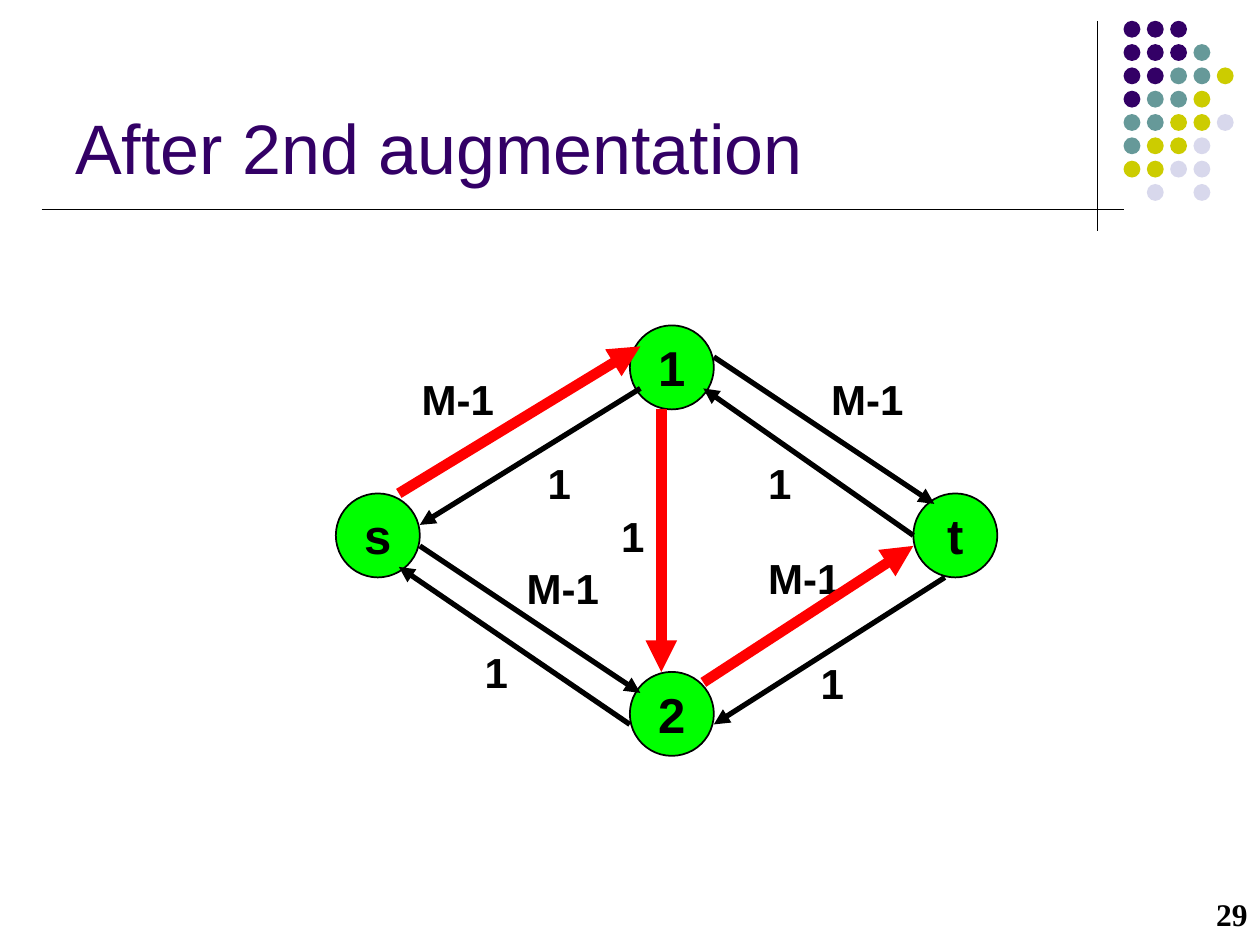
import pptx
import pptx.util
import pptx.dml.color
import pptx.enum.shapes
import pptx.enum.text
import pptx.oxml.ns
import pptx.oxml.xmlchemy

Cm = pptx.util.Cm
Pt = pptx.util.Pt
RGBColor = pptx.dml.color.RGBColor
ALIGN = pptx.enum.text.PP_ALIGN
ANCHOR = pptx.enum.text.MSO_ANCHOR
ELLIPSE = pptx.enum.shapes.MSO_SHAPE.OVAL

BLACK = RGBColor(0x00, 0x00, 0x00)
RED = RGBColor(0xFF, 0x00, 0x00)
GREEN = RGBColor(0x00, 0xFF, 0x00)
PURPLE = RGBColor(0x33, 0x00, 0x66)
TEAL = RGBColor(0x66, 0x99, 0x99)
OLIVE = RGBColor(0xCC, 0xCC, 0x00)
LAVENDER = RGBColor(0xD8, 0xD8, 0xEC)

# Dot ornament: one letter per dot, a space for a gap
DOT_COLORS = {"P": PURPLE, "T": TEAL, "O": OLIVE, "L": LAVENDER}
DOT_ROWS = ["PPP", "PPPT", "PPTTO", "PTTO", "TTOOL", "TOOL", "OOLL", " L L"]

# Flow network, in twelfths of an inch from the diagram's corner
NODE_SIZE = 8
NODES = {"s": (0, 16), "1": (28, 0), "2": (28, 33), "t": (55, 16)}
RESIDUAL_ARROWS = [
    (36, 3, 57, 17), (8, 21, 29, 35), (58, 24, 36, 38),
    (29, 6, 8, 19), (28, 38, 6, 23), (55, 20, 35, 6),
]
PATH_ARROWS = [(6, 16, 29, 2), (35, 34, 55, 21), (31, 8, 31, 33)]
CAPACITIES = [
    ("M-1", 7, 4), ("M-1", 46, 4), ("M-1", 40, 21), ("M-1", 17, 22),
    ("1", 26, 17), ("1", 19, 12), ("1", 45, 31), ("1", 40, 12), ("1", 13, 30),
]


def grid(count):
    return Cm(2.54 * count / 12)


def write_text(shape, text, *, size, font="Arial", color=BLACK, bold=True,
               align=ALIGN.LEFT, anchor=ANCHOR.TOP, wrap=True):
    frame = shape.text_frame
    frame.word_wrap = wrap
    frame.vertical_anchor = anchor
    paragraph = frame.paragraphs[0]
    paragraph.alignment = align
    run = paragraph.add_run()
    run.text = text
    run.font.name = font
    run.font.size = Pt(size)
    run.font.bold = bold
    run.font.color.rgb = color


def add_circle(slide, left, top, size, fill, outline=None):
    shape = slide.shapes.add_shape(ELLIPSE, left, top, size, size)
    shape.shadow.inherit = False
    shape.fill.solid()
    shape.fill.fore_color.rgb = fill
    if outline is None:
        shape.line.fill.background()
    else:
        shape.line.color.rgb = outline
        shape.line.width = Pt(1)
    return shape


def add_line(slide, start, end, color=BLACK, width=0.75, arrow=False):
    connector = slide.shapes.add_connector(
        pptx.enum.shapes.MSO_CONNECTOR.STRAIGHT, *start, *end)
    connector.line.color.rgb = color
    connector.line.width = Pt(width)
    properties = connector._element.find(pptx.oxml.ns.qn("p:spPr"))
    if arrow:
        head = pptx.oxml.xmlchemy.OxmlElement("a:tailEnd")
        head.set("type", "triangle")
        properties.find(pptx.oxml.ns.qn("a:ln")).append(head)
    properties.append(pptx.oxml.xmlchemy.OxmlElement("a:effectLst"))


def add_dots(slide, left, top, pitch, size):
    for row, letters in enumerate(DOT_ROWS):
        for column, letter in enumerate(letters):
            if letter in DOT_COLORS:
                add_circle(slide, left + column * pitch, top + row * pitch,
                           size, DOT_COLORS[letter])


def add_header(slide, left, top, width, height):
    # Crossing rules
    rule_x, rule_y = left + Cm(21.29), top + Cm(3.81)
    add_line(slide, (rule_x, top), (rule_x, top + height))
    add_line(slide, (left, rule_y), (left + width, rule_y))
    add_dots(slide, left + width, top, Cm(0.47), Cm(0.34))

    # Title
    title = slide.shapes.add_textbox(left + Cm(0.43), top - Cm(0.1), Cm(20.95), Cm(3.61))
    write_text(title, "After 2nd augmentation", size=40, color=PURPLE,
               bold=False, anchor=ANCHOR.BOTTOM)


def add_network(slide, left, top):
    def add_arrows(arrows, color, width):
        for x1, y1, x2, y2 in arrows:
            add_line(slide, (left + grid(x1), top + grid(y1)),
                     (left + grid(x2), top + grid(y2)), color, width, arrow=True)

    # Nodes
    for name, (x, y) in NODES.items():
        node = add_circle(slide, left + grid(x), top + grid(y),
                          grid(NODE_SIZE), GREEN, outline=BLACK)
        write_text(node, name, size=28, align=ALIGN.CENTER,
                   anchor=ANCHOR.MIDDLE, wrap=False)

    add_arrows(RESIDUAL_ARROWS, BLACK, 3)

    # Capacities
    for text, x, y in CAPACITIES:
        label = slide.shapes.add_textbox(left + grid(x), top + grid(y),
                                         grid(7 if text == "1" else 12), grid(6))
        write_text(label, text, size=24)

    # Augmenting path, in front of the labels
    add_arrows(PATH_ARROWS, RED, 6)


def add_page_number(slide, left, top, width, height):
    number = slide.shapes.add_textbox(left, top, width, height)
    write_text(number, "29", size=18, font="Times New Roman",
               align=ALIGN.RIGHT, anchor=ANCHOR.MIDDLE)


def main():
    presentation = pptx.Presentation()
    presentation.slide_width = Cm(25.4)
    presentation.slide_height = Cm(19.05)
    slide = presentation.slides.add_slide(presentation.slide_layouts[6])
    add_header(slide, Cm(0.84), Cm(0.42), Cm(21.81), Cm(4.23))
    add_page_number(slide, Cm(20.52), Cm(17.78), Cm(4.88), Cm(1.27))
    add_network(slide, Cm(6.77), Cm(6.56))
    presentation.save("out.pptx")


if __name__ == "__main__":
    main()
